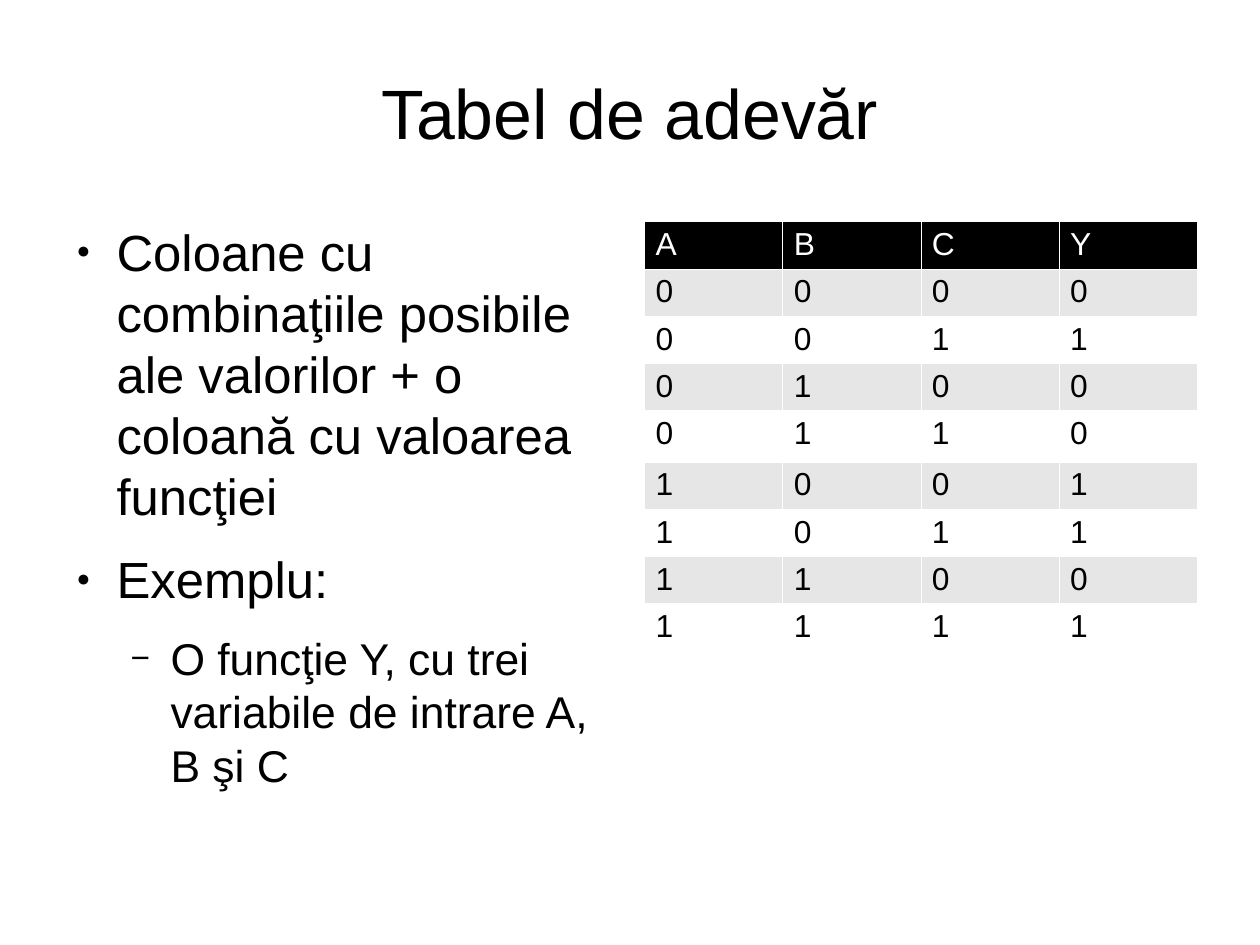
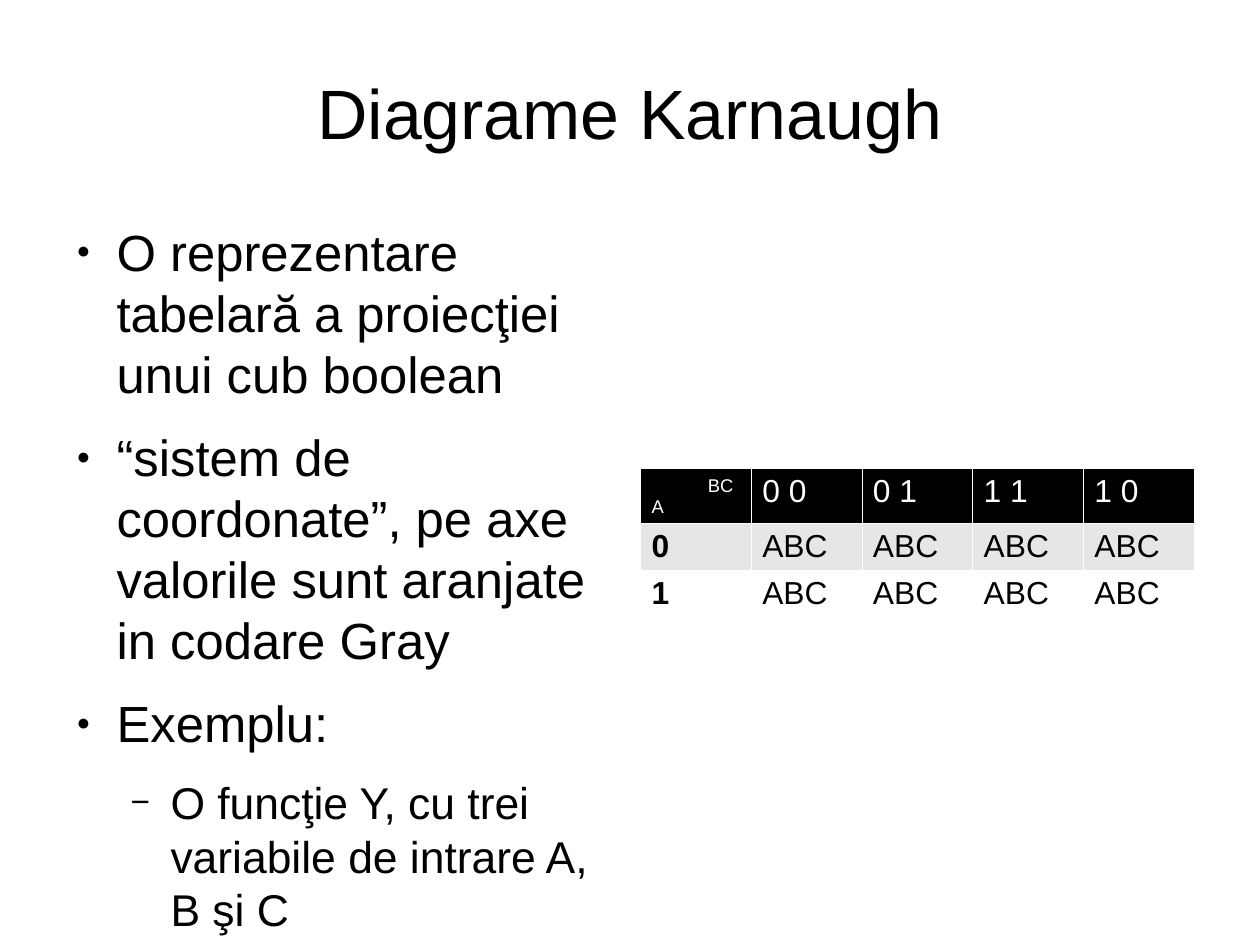
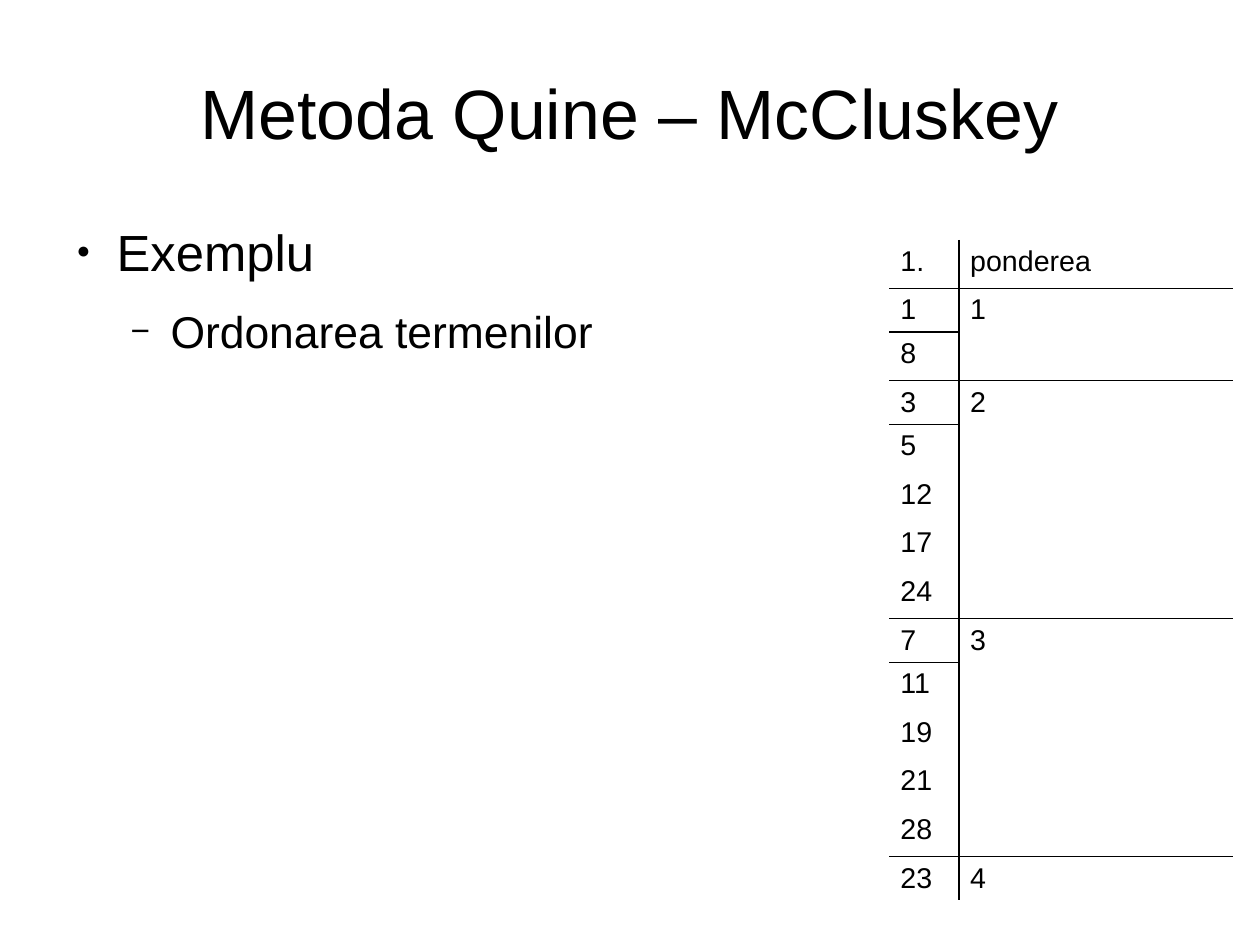
from itertools import accumulate, product

from lxml.etree import SubElement
from pptx import Presentation
from pptx.dml.color import RGBColor
from pptx.enum.text import MSO_ANCHOR, MSO_AUTO_SIZE, PP_ALIGN
from pptx.oxml.ns import qn
from pptx.util import Cm, Pt

BLACK = RGBColor(0x00, 0x00, 0x00)
WHITE = RGBColor(0xFF, 0xFF, 0xFF)
BAND = RGBColor(0xE6, 0xE6, 0xE6)
FONT = "Arial"
NO_TABLE_STYLE = "{2D5ABB26-0587-4C30-8999-92F81FD0307C}"

# Boxes are left, top, width, height in centimetres
TITLE_BOX = (1.4, 0.84, 25.2, 3.5)
# Per list level: text size, left indent, bullet, bullet size in percent
LEVELS = [(32, 1.19, "●", 45), (28, 2.39, "−", 75)]
HANGING = 0.89
ROW = 1.05


# Text
def write(para, text, size=20, colour=BLACK, bold=False, align=None, baseline=0):
    """Add one formatted span to a paragraph."""
    if align is not None:
        para.alignment = align
    span = para.add_run()
    span.text = text
    span.font.name = FONT
    span.font.size = Pt(size)
    span.font.bold = bold
    span.font.color.rgb = colour
    if baseline:
        span.font._element.set("baseline", str(baseline * 1000))


def place(holder, box, anchor):
    """Move a placeholder to its box and return its text frame."""
    holder.left, holder.top, holder.width, holder.height = map(Cm, box)
    frame = holder.text_frame
    frame.margin_left = frame.margin_right = 0
    frame.margin_top = frame.margin_bottom = 0
    frame.word_wrap = True
    frame.auto_size = MSO_AUTO_SIZE.NONE
    frame.vertical_anchor = anchor
    return frame


def set_bullet(para, indent, mark, percent):
    properties = para._p.get_or_add_pPr()
    properties.set("marL", str(Cm(indent)))
    properties.set("indent", str(-Cm(HANGING)))
    colour = SubElement(properties, qn("a:buClr"))
    SubElement(colour, qn("a:srgbClr"), val=str(BLACK))
    SubElement(properties, qn("a:buSzPct"), val=str(percent * 1000))
    SubElement(properties, qn("a:buFont"), typeface=FONT)
    SubElement(properties, qn("a:buChar"), char=mark)


def add_list(holder, box, items):
    """Write (level, text) items as a bulleted list."""
    frame = place(holder, box, MSO_ANCHOR.TOP)
    for number, (level, text) in enumerate(items):
        para = frame.add_paragraph() if number else frame.paragraphs[0]
        size, indent, mark, percent = LEVELS[level]
        para.level = level
        para.line_spacing = 1.0
        para.space_before = Pt(0)
        para.space_after = Pt(14.1)
        set_bullet(para, indent, mark, percent)
        write(para, text, size=size)


def add_page(deck, title, list_box, items):
    """Add a page with a centred title and a list on the left."""
    page = deck.slides.add_slide(deck.slide_layouts[1])
    page.background.fill.solid()
    page.background.fill.fore_color.rgb = WHITE
    para = place(page.shapes.title, TITLE_BOX, MSO_ANCHOR.MIDDLE).paragraphs[0]
    para.line_spacing = 0.9
    write(para, title, size=44, align=PP_ALIGN.CENTER)
    add_list(page.placeholders[1], list_box, items)
    return page


# Tables
def add_grid(page, left, top, widths, heights):
    """Add a plain table with the given column widths and row heights."""
    table = page.shapes.add_table(
        len(heights), len(widths), Cm(left), Cm(top),
        Cm(sum(widths)), Cm(sum(heights))).table
    table.first_row = table.horz_banding = False
    table._tbl.tblPr.find(qn("a:tableStyleId")).text = NO_TABLE_STYLE
    for column, width in zip(table.columns, widths):
        column.width = Cm(width)
    for row, height in zip(table.rows, heights):
        row.height = Cm(height)
    return table


def style_cell(cell, fill, sides="LRTB", line=WHITE, points=0.06):
    """Set margins, the borders of the named sides, and the fill."""
    cell.margin_left = cell.margin_right = Cm(0.25)
    cell.margin_top = cell.margin_bottom = Cm(0.12)
    properties = cell._tc.get_or_add_tcPr()
    for side in sides:
        border = SubElement(properties, qn("a:ln" + side), w=str(Pt(points)))
        colour = SubElement(border, qn("a:solidFill"))
        SubElement(colour, qn("a:srgbClr"), val=str(line))
    cell.fill.solid()
    cell.fill.fore_color.rgb = fill


def add_banded_table(page, left, top, widths, heights, rows,
                     align=None, bold_first=False):
    """Black header row, then grey and white rows in turn."""
    table = add_grid(page, left, top, widths, heights)
    for r, row in enumerate(rows):
        fill = BLACK if r == 0 else BAND if r % 2 else WHITE
        for c, text in enumerate(row):
            cell = table.cell(r, c)
            style_cell(cell, fill)
            if text:
                write(cell.text_frame.paragraphs[0], text,
                      colour=WHITE if r == 0 else BLACK,
                      bold=bold_first and r > 0 and c == 0,
                      align=align if r else None)
    return table


def add_axes_label(cell, row_name, column_name):
    """Name the row axis low on the left and the column axis high on the right."""
    para = cell.text_frame.paragraphs[0]
    tabs = SubElement(para._p.get_or_add_pPr(), qn("a:tabLst"))
    SubElement(tabs, qn("a:tab"), pos=str(Cm(1.25)), algn="l")
    write(para, row_name + "\t", colour=WHITE, baseline=-33)
    write(para, column_name, colour=WHITE, baseline=33)


def add_weight_table(page, left, top, widths, groups):
    """Ruled groups of terms, each beside one merged weight cell."""
    short, tall = 0.97, 1.08
    terms = [term for group, _ in groups for term in group]
    starts = [0, *accumulate(len(group) for group, _ in groups)]
    heights = [short if r in starts[1:] else tall for r in range(len(terms))]
    table = add_grid(page, left, top, widths, heights)
    for r, term in enumerate(terms):
        ruled = "T" * (r in starts[1:]) + "B" * (r + 1 in starts[:-1])
        for c, inner_side in enumerate("RL"):
            style_cell(table.cell(r, c), WHITE, inner_side + ruled, BLACK, 1)
        write(table.cell(r, 0).text_frame.paragraphs[0], term, size=18)
    for start, (group, weight) in zip(starts, groups):
        cell = table.cell(start, 1)
        if len(group) > 1:
            cell.merge(table.cell(start + len(group) - 1, 1))
        write(cell.text_frame.paragraphs[0], weight, size=18)


# Pages
EXAMPLE = [(0, "Exemplu:"),
           (1, "O funcţie Y, cu trei variabile de intrare A, B şi C")]


def truth_table_page(deck):
    page = add_page(deck, "Tabel de adevăr", (1.4, 4.9, 12.3, 13.87), [
        (0, "Coloane cu combinaţiile posibile ale valorilor + o coloană "
            "cu valoarea funcţiei"), *EXAMPLE])
    inputs = product("01", repeat=3)
    rows = ["ABCY", *((*bits, y) for bits, y in zip(inputs, "01001101"))]
    heights = [ROW] * 4 + [1.14] + [ROW] * 4
    add_banded_table(page, 14.32, 4.92, [3.07] * 4, heights, rows,
                     align=PP_ALIGN.JUSTIFY)


def karnaugh_page(deck):
    page = add_page(deck, "Diagrame Karnaugh", (1.4, 4.9, 12.3, 15.29), [
        (0, "O reprezentare tabelară a proiecţiei unui cub boolean"),
        (0, "“sistem de coordonate”, pe axe valorile sunt aranjate "
            "in codare Gray"), *EXAMPLE])
    rows = [["", "0 0", "0 1", "1 1", "1 0"],
            *([bit] + ["ABC"] * 4 for bit in "01")]
    table = add_banded_table(page, 14.23, 10.41, [2.46] * 5,
                             [1.21, ROW, ROW], rows, bold_first=True)
    add_axes_label(table.cell(0, 0), "A", "BC")


def quine_page(deck):
    page = add_page(deck, "Metoda Quine – McCluskey", (1.4, 4.9, 16.38, 19.38), [
        (0, "Exemplu"), (1, "Ordonarea termenilor")])
    add_weight_table(page, 19.76, 5.33, [1.55, 6.1], [
        (["1."], "ponderea"),
        (["1", "8"], "1"),
        (["3", "5", "12", "17", "24"], "2"),
        (["7", "11", "19", "21", "28"], "3"),
        (["23"], "4")])


deck = Presentation()
deck.slide_width, deck.slide_height = Cm(28), Cm(21)
truth_table_page(deck)
karnaugh_page(deck)
quine_page(deck)
deck.save("out.pptx")
